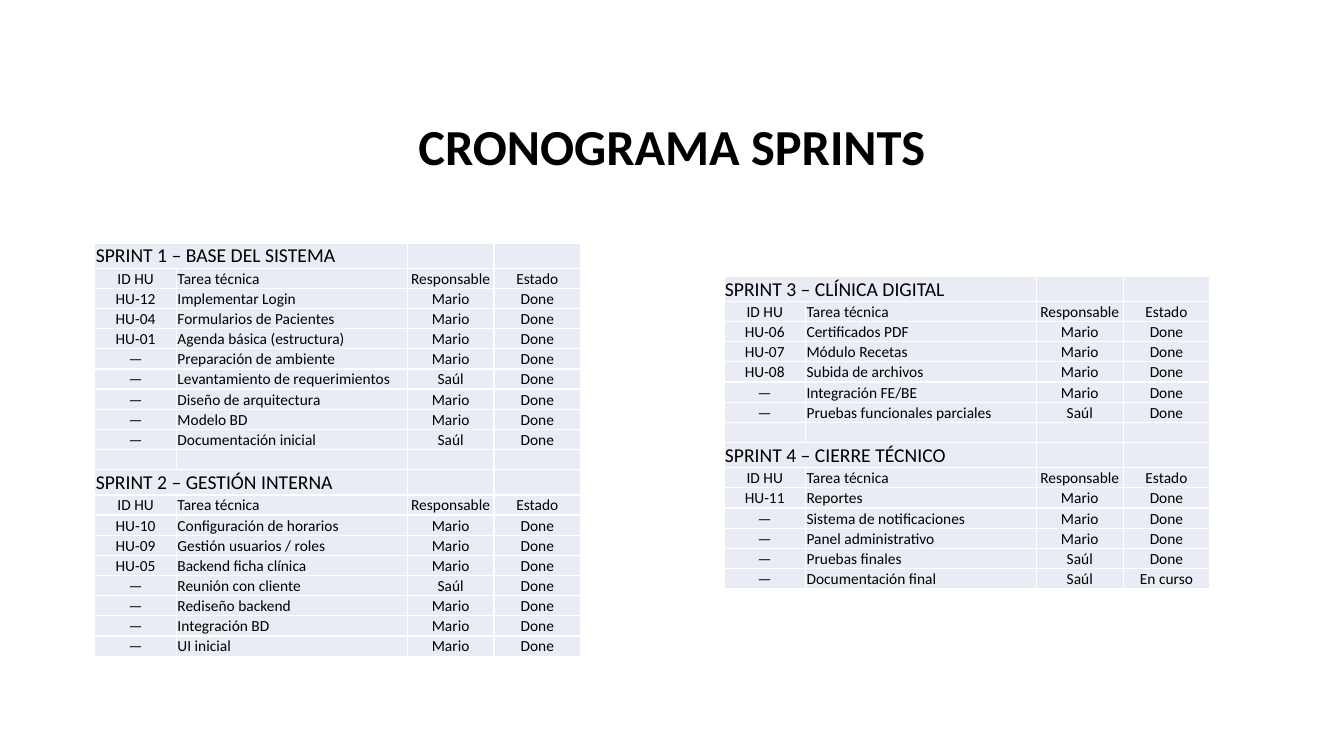
import pptx
import pptx.dml.color
import pptx.enum.text
import pptx.oxml.ns
import pptx.util
from lxml import etree

Inches = pptx.util.Inches
Align = pptx.enum.text.PP_ALIGN
Anchor = pptx.enum.text.MSO_ANCHOR

COLORS = {"text": "000000", "cell": "E9EBF5", "border": "FFFFFF"}
COLUMN_WIDTHS = [0.81, 2.29, 0.86, 0.86]
HEADERS = ("ID HU", "Tarea técnica", "Responsable", "Estado")

SPRINT_1 = ("SPRINT 1 – BASE DEL SISTEMA", [
    ("HU-12", "Implementar Login", "Mario", "Done"),
    ("HU-04", "Formularios de Pacientes", "Mario", "Done"),
    ("HU-01", "Agenda básica (estructura)", "Mario", "Done"),
    ("—", "Preparación de ambiente", "Mario", "Done"),
    ("—", "Levantamiento de requerimientos", "Saúl", "Done"),
    ("—", "Diseño de arquitectura", "Mario", "Done"),
    ("—", "Modelo BD", "Mario", "Done"),
    ("—", "Documentación inicial", "Saúl", "Done"),
])
SPRINT_2 = ("SPRINT 2 – GESTIÓN INTERNA", [
    ("HU-10", "Configuración de horarios", "Mario", "Done"),
    ("HU-09", "Gestión usuarios / roles", "Mario", "Done"),
    ("HU-05", "Backend ficha clínica", "Mario", "Done"),
    ("—", "Reunión con cliente", "Saúl", "Done"),
    ("—", "Rediseño backend", "Mario", "Done"),
    ("—", "Integración BD", "Mario", "Done"),
    ("—", "UI inicial", "Mario", "Done"),
])
SPRINT_3 = ("SPRINT 3 – CLÍNICA DIGITAL", [
    ("HU-06", "Certificados PDF", "Mario", "Done"),
    ("HU-07", "Módulo Recetas", "Mario", "Done"),
    ("HU-08", "Subida de archivos", "Mario", "Done"),
    ("—", "Integración FE/BE", "Mario", "Done"),
    ("—", "Pruebas funcionales parciales", "Saúl", "Done"),
])
SPRINT_4 = ("SPRINT 4 – CIERRE TÉCNICO", [
    ("HU-11", "Reportes", "Mario", "Done"),
    ("—", "Sistema de notificaciones", "Mario", "Done"),
    ("—", "Panel administrativo", "Mario", "Done"),
    ("—", "Pruebas finales", "Saúl", "Done"),
    ("—", "Documentación final", "Saúl", "En curso"),
])


class SprintSlide:
    font_name = "Calibri"
    title_size = 36
    heading_size = 14
    body_size = 11
    heading_height = 0.25
    row_height = 0.2

    def __init__(self, presentation):
        self.slide = presentation.slides.add_slide(presentation.slide_layouts[6])

    def add_text(self, paragraph, text, size, alignment, bold=False):
        paragraph.alignment = alignment
        run = paragraph.add_run()
        run.text = text
        run.font.name = self.font_name
        run.font.size = pptx.util.Pt(size)
        run.font.bold = bold
        run.font.color.rgb = pptx.dml.color.RGBColor.from_string(COLORS["text"])

    def title(self, text, left, top, width, height):
        shape = self.slide.shapes.add_textbox(
            Inches(left), Inches(top), Inches(width), Inches(height))
        frame = shape.text_frame
        frame.word_wrap = True
        frame.auto_size = pptx.enum.text.MSO_AUTO_SIZE.SHAPE_TO_FIT_TEXT
        self.add_text(frame.paragraphs[0], text, self.title_size, Align.CENTER, True)

    def border(self, cell):
        qn = pptx.oxml.ns.qn
        properties = cell._tc.get_or_add_tcPr()
        for side in ("a:lnL", "a:lnR", "a:lnT", "a:lnB"):
            line = etree.SubElement(properties, qn(side), w=str(pptx.util.Pt(1)))
            fill = etree.SubElement(line, qn("a:solidFill"))
            etree.SubElement(fill, qn("a:srgbClr"), val=COLORS["border"])

    def cell(self, cell, text, size, alignment):
        self.border(cell)
        cell.fill.solid()
        cell.fill.fore_color.rgb = pptx.dml.color.RGBColor.from_string(COLORS["cell"])
        cell.margin_left = cell.margin_right = cell.margin_top = Inches(0.01)
        cell.margin_bottom = 0
        cell.vertical_anchor = Anchor.BOTTOM
        paragraph = cell.text_frame.paragraphs[0]
        if text:
            self.add_text(paragraph, text, size, alignment)
        else:
            etree.SubElement(paragraph._p, pptx.oxml.ns.qn("a:endParaRPr"),
                             sz=str(self.body_size * 100))

    def sprint_table(self, left, top, sprints):
        rows = []
        for heading, tasks in sprints:
            if rows:
                rows.append(("", "", "", ""))
            rows += [(heading, "", "", ""), HEADERS, *tasks]
        headings = {heading for heading, tasks in sprints}
        heights = [self.heading_height if row[0] in headings else self.row_height
                   for row in rows]
        frame = self.slide.shapes.add_table(
            len(rows), len(COLUMN_WIDTHS), Inches(left), Inches(top),
            Inches(sum(COLUMN_WIDTHS)), Inches(sum(heights)))
        table = frame.table
        table.first_row = False
        table.horz_banding = False
        for column, width in zip(table.columns, COLUMN_WIDTHS):
            column.width = Inches(width)
        for row_index, (values, height) in enumerate(zip(rows, heights)):
            table.rows[row_index].height = Inches(height)
            is_heading = values[0] in headings
            size = self.heading_size if is_heading else self.body_size
            for column_index, text in enumerate(values):
                left_aligned = is_heading or column_index == 1
                alignment = Align.LEFT if left_aligned else Align.CENTER
                self.cell(table.cell(row_index, column_index), text, size, alignment)
            if is_heading:
                table.cell(row_index, 0).merge(table.cell(row_index, 1))


def main():
    presentation = pptx.Presentation()
    presentation.slide_width = Inches(13.33)
    presentation.slide_height = Inches(7.5)
    slide = SprintSlide(presentation)
    slide.title("CRONOGRAMA SPRINTS", 0, 1.09, 13.33, 0.71)
    slide.sprint_table(0.94, 2.41, [SPRINT_1, SPRINT_2])
    slide.sprint_table(7.18, 2.74, [SPRINT_3, SPRINT_4])
    presentation.save("out.pptx")


if __name__ == "__main__":
    main()
